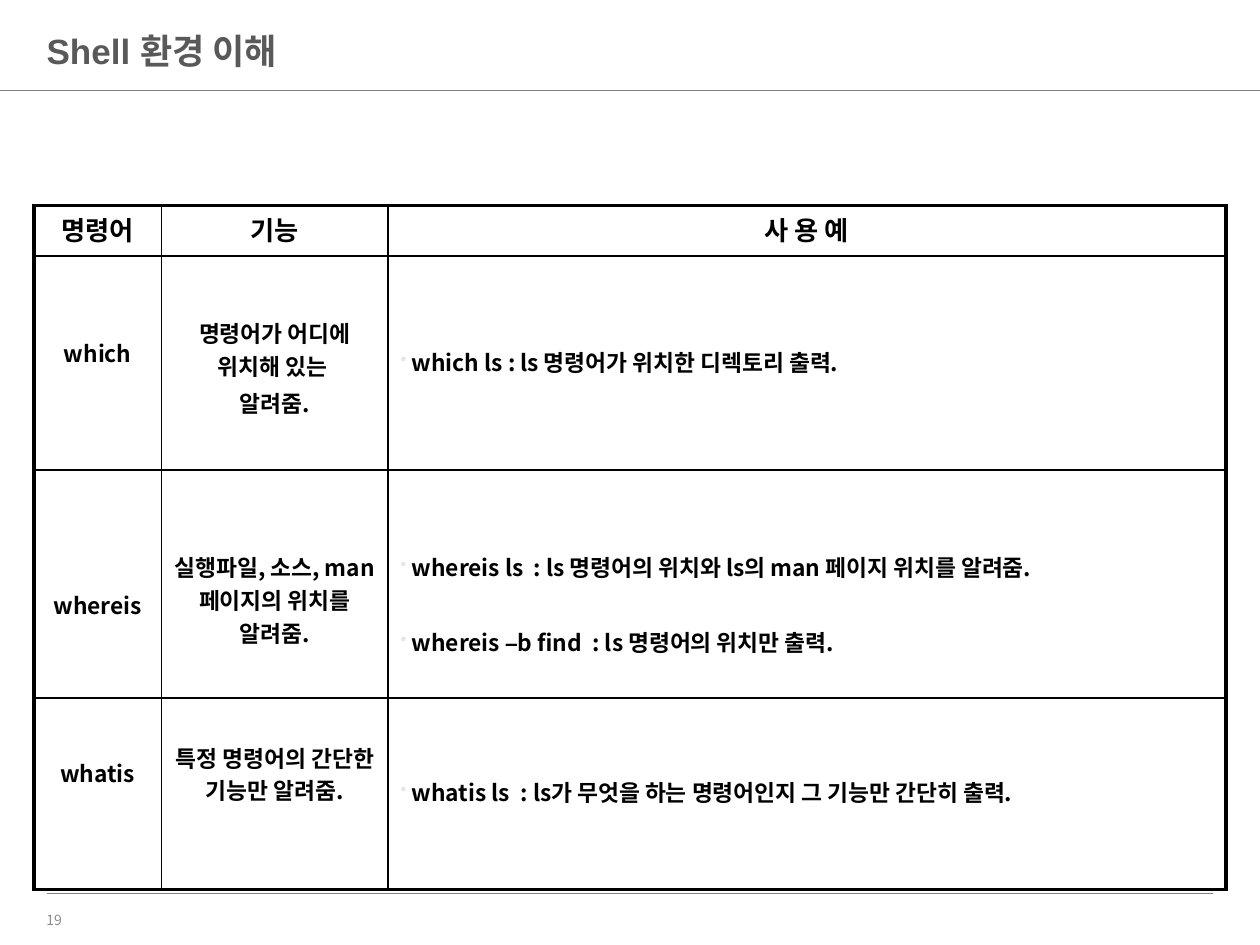
from lxml.etree import SubElement
from pptx import Presentation
from pptx.dml.color import RGBColor
from pptx.enum.shapes import MSO_CONNECTOR as Connector
from pptx.enum.text import MSO_ANCHOR as Anchor, PP_ALIGN as Align
from pptx.oxml.ns import qn
from pptx.util import Inches, Pt

COLORS = {"text": "000000", "title": "595959", "rule": "808080",
          "number": "8C8C8C", "bullet": "E7E6E6", "border": "000000"}
KOREAN, LATIN = "Noto Sans CJK KR", "Arial"

COLUMN_WIDTHS = [1.01, 1.8, 6.65]
ROW_HEIGHTS = [0.4, 1.7, 1.81, 1.52]
HEADERS = ["명령어", "기능", "사 용 예"]
# Each cell: top margin, space before later paragraphs, paragraphs of (text, font) runs
COMMANDS = [
    [(0.64, 0, [[("which", KOREAN)]]),
     (0.48, 2.5, [[("명령어가 어디에 위치해 있는 ", KOREAN)], [("알려줌.", KOREAN)]]),
     (0.71, 0, [[(" which ls : ls 명령어가 위치한 디렉토리 출력.", KOREAN)]])],
    [(0.94, 0, [[("whereis", KOREAN)]]),
     (0.64, 0, [[("실행파일, 소스, man 페이지의 위치를 알려줌.", KOREAN)]]),
     (0.64, 24, [[(" whereis ls  : ls 명령어의 위치와 ls의 man 페이지 위치를 알려줌.", KOREAN)],
                 [(" whereis ", KOREAN), ("–", LATIN),
                  ("b find  : ls 명령어의 위치만 출력.", KOREAN)]])],
    [(0.46, 0, [[("whatis", KOREAN)]]),
     (0.34, 0, [[("특정 명령어의 간단한 기능만 알려줌.", KOREAN)]]),
     (0.61, 0, [[(" whatis ls  : ls가 무엇을 하는 명령어인지 그 기능만 간단히 출력.", KOREAN)]])],
]


class SlideBuilder:
    def __init__(self, slide):
        self.slide = slide

    def run(self, paragraph, text, size, color, font=KOREAN, bold=False):
        run = paragraph.add_run()
        run.text = text
        run.font.size, run.font.bold, run.font.name = Pt(size), bold, font
        run.font.color.rgb = RGBColor.from_string(COLORS[color])
        SubElement(run.font._element, qn("a:ea"), typeface=KOREAN)

    def title(self, text, left, top, width, height):
        title = self.slide.shapes.title
        title.left, title.top = Inches(left), Inches(top)
        title.width, title.height = Inches(width), Inches(height)
        title.text_frame.vertical_anchor = Anchor.MIDDLE
        paragraph = title.text_frame.paragraphs[0]
        paragraph.alignment, paragraph.line_spacing = Align.LEFT, 0.9
        self.run(paragraph, text, 20, "title", LATIN, True)

    def rule(self, left, right, y):
        line = self.slide.shapes.add_connector(
            Connector.STRAIGHT, Inches(left), Inches(y), Inches(right), Inches(y))
        line.line.color.rgb = RGBColor.from_string(COLORS["rule"])
        line.line.width = Pt(0.5)
        SubElement(line._element.spPr, qn("a:effectLst"))

    def page_number(self, text, left, top, width, height):
        box = self.slide.shapes.add_textbox(
            Inches(left), Inches(top), Inches(width), Inches(height))
        box.text_frame.word_wrap = True
        box.text_frame.vertical_anchor = Anchor.MIDDLE
        self.run(box.text_frame.paragraphs[0], text, 8, "number")

    def table(self, left, top, widths, heights):
        table = self.slide.shapes.add_table(
            len(heights), len(widths), Inches(left), Inches(top),
            Inches(sum(widths)), Inches(sum(heights))).table
        table.first_row = table.horz_banding = False
        for column, width in zip(table.columns, widths):
            column.width = Inches(width)
        for row, height in zip(table.rows, heights):
            row.height = Inches(height)
        last_row, last_column = len(heights) - 1, len(widths) - 1
        for r in range(len(heights)):
            for c in range(len(widths)):
                cell = table.cell(r, c)
                self.borders(cell, {"lnL": c == 0, "lnR": c == last_column,
                                    "lnT": r == 0, "lnB": r == last_row})
                cell.fill.background()
        return table

    def borders(self, cell, outer_sides):
        properties = cell._tc.get_or_add_tcPr()
        for side, outer in outer_sides.items():
            line = SubElement(properties, qn(f"a:{side}"), w=str(Pt(2.25 if outer else 1)))
            fill = SubElement(line, qn("a:solidFill"))
            SubElement(fill, qn("a:srgbClr"), val=COLORS["border"])

    def cell(self, cell, paragraphs, size, margin_top, gap=0, bulleted=False):
        cell.margin_top, cell.margin_bottom = Inches(margin_top), Inches(0.03)
        for index, runs in enumerate(paragraphs):
            frame = cell.text_frame
            paragraph = frame.add_paragraph() if index else frame.paragraphs[0]
            paragraph.alignment = Align.LEFT if bulleted else Align.CENTER
            if index:
                paragraph.space_before = Pt(gap)
            if bulleted:
                self.bullet(paragraph)
            for text, font in runs:
                self.run(paragraph, text, size, "text", font, True)

    def bullet(self, paragraph):
        properties = paragraph._p.get_or_add_pPr()
        color = SubElement(properties, qn("a:buClr"))
        SubElement(color, qn("a:srgbClr"), val=COLORS["bullet"])
        SubElement(properties, qn("a:buSzPct"), val="75000")
        SubElement(properties, qn("a:buChar"), char="•")


def main():
    presentation = Presentation()
    presentation.slide_width, presentation.slide_height = Inches(10), Inches(7.5)
    builder = SlideBuilder(presentation.slides.add_slide(presentation.slide_layouts[5]))

    builder.rule(0.37, 9.63, 7.09)
    builder.rule(0, 10, 0.72)
    builder.page_number("19", 0.27, 7.18, 2.25, 0.24)
    builder.title("Shell 환경 이해", 0.27, 0.17, 9.44, 0.51)

    table = builder.table(0.27, 1.63, COLUMN_WIDTHS, ROW_HEIGHTS)
    for column, header in enumerate(HEADERS):
        builder.cell(table.cell(0, column), [[(header, KOREAN)]], 15, 0.04)
    for row, contents in enumerate(COMMANDS, start=1):
        for column, (margin_top, gap, paragraphs) in enumerate(contents):
            builder.cell(table.cell(row, column), paragraphs, 13, margin_top, gap,
                         bulleted=column == 2)

    presentation.save("out.pptx")


if __name__ == "__main__":
    main()
